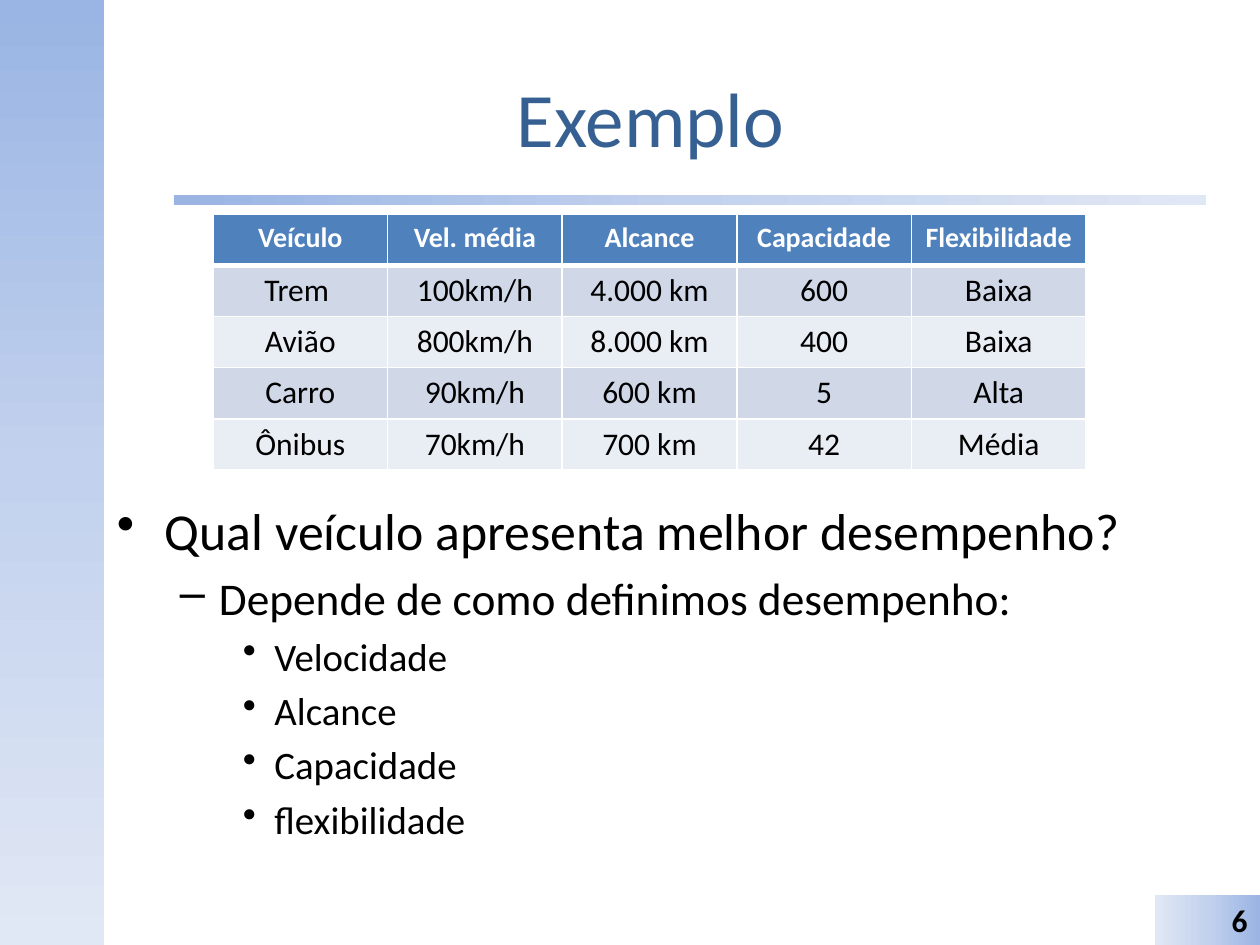
from copy import deepcopy
from lxml.etree import SubElement as Sub
from pptx import Presentation
from pptx.dml.color import RGBColor
from pptx.enum.shapes import MSO_SHAPE as Kind
from pptx.enum.text import MSO_ANCHOR as Anchor, PP_ALIGN as Align
from pptx.oxml.ns import qn
from pptx.util import Inches, Pt


def tint(code):
    return RGBColor.from_string(code)


class Page:
    face = "Calibri"
    ink, white = "000000", "FFFFFF"
    head, bands = "4F81BD", ("D0D8E8", "E9EDF4")
    fade = ((0, "9AB5E4"), (0.5, "C2D1ED"), (1, "E1E8F5"))
    marks = ((29.6, "•", 0.38, 0.38), (25.9, "–", 0.81, 0.31), (22.2, "•", 1.25, 0.25))

    def __init__(self, deck):
        self.slide = deck.slides.add_slide(deck.slide_layouts[6])
        self.shapes = self.slide.shapes

    def style(self, para, size, color, bold=False, align=Align.LEFT):
        font = para.font
        font.name, font.size, font.bold = self.face, Pt(size), bold
        font.color.rgb = tint(color)
        para.alignment = align

    def block(self, box, angle, kind=Kind.RECTANGLE):
        shape = self.shapes.add_shape(kind, *map(Inches, box))
        shape.shadow.inherit = False
        shape.line.fill.background()
        fill = shape.fill
        fill.gradient()
        fill.gradient_angle = angle
        first = next(shape._element.iter(qn("a:gs")))
        first.addnext(deepcopy(first))
        for stop, (place, color) in zip(fill.gradient_stops, self.fade):
            stop.position = place
            stop.color.rgb = tint(color)
        return shape

    def text(self, box, anchor=Anchor.TOP):
        frame = self.shapes.add_textbox(*map(Inches, box)).text_frame
        frame.word_wrap = True
        frame.vertical_anchor = anchor
        return frame

    def title(self, words, box):
        para = self.text(box, Anchor.MIDDLE).paragraphs[0]
        para.text = words
        self.style(para, 44, "376092", align=Align.CENTER)

    def number(self, words, box):
        frame = self.block(box, 180).text_frame
        frame.vertical_anchor = Anchor.MIDDLE
        para = frame.paragraphs[0]
        para.text = words
        self.style(para, 18, self.ink, True, Align.RIGHT)

    def outline(self, items, box):
        frame = self.text(box)
        for at, (level, words) in enumerate(items):
            para = frame.add_paragraph() if at else frame.paragraphs[0]
            size, mark, left, hang = self.marks[level]
            para.text, para.level = words, level
            para.space_before = Pt(size * 0.2)
            self.style(para, size, self.ink)
            props = para._p.get_or_add_pPr()
            props.set("marL", str(Inches(left)))
            props.set("indent", str(-Inches(hang)))
            bullet = props.makeelement(qn("a:buChar"), {"char": mark})
            props.find(qn("a:defRPr")).addprevious(bullet)

    def border(self, cell, side, width):
        line = Sub(cell._tc.get_or_add_tcPr(), qn("a:ln" + side), w=str(Pt(width)))
        Sub(Sub(line, qn("a:solidFill")), qn("a:srgbClr"), val=self.white)

    def table(self, rows, box):
        table = self.shapes.add_table(len(rows), len(rows[0]), *map(Inches, box)).table
        table.horz_banding = False
        for r, row in enumerate(rows):
            for c, words in enumerate(row):
                cell = table.cell(r, c)
                for side in "LRTB":
                    thick = (r, side) in ((0, "B"), (1, "T"))
                    self.border(cell, side, 3 if thick else 1)
                cell.fill.solid()
                cell.fill.fore_color.rgb = tint(self.bands[(r - 1) % 2] if r else self.head)
                para = cell.text_frame.paragraphs[0]
                para.text = words
                size, color = (18, self.ink) if r else (16, self.white)
                self.style(para, size, color, r == 0, Align.CENTER)


def main():
    deck = Presentation()
    deck.slide_width, deck.slide_height = Inches(10), Inches(7.5)
    page = Page(deck)
    page.block((0, 0, 0.83, 7.5), 270)
    rule = page.block((1.38, 1.55, 8.19, 0.08), 0, Kind.ROUNDED_RECTANGLE)
    rule.adjustments[0] = 0
    page.title("Exemplo", (0.83, 0.3, 8.67, 1.25))
    page.outline((
        (0, "Qual veículo apresenta melhor desempenho?"),
        (1, "Depende de como definimos desempenho:"),
        (2, "Velocidade"),
        (2, "Alcance"),
        (2, "Capacidade"),
        (2, "flexibilidade"),
    ), (0.83, 3.91, 8.9, 2.79))
    page.number("6", (9.17, 7.1, 0.83, 0.4))
    page.table((
        ("Veículo", "Vel. média", "Alcance", "Capacidade", "Flexibilidade"),
        ("Trem ", "100km/h", "4.000 km", "600", "Baixa"),
        ("Avião", "800km/h", "8.000 km", "400", "Baixa"),
        ("Carro", "90km/h", "600 km", "5", "Alta"),
        ("Ônibus", "70km/h", "700 km", "42", "Média"),
    ), (1.69, 1.7, 6.93, 2.03))
    deck.save("out.pptx")


if __name__ == "__main__":
    main()
